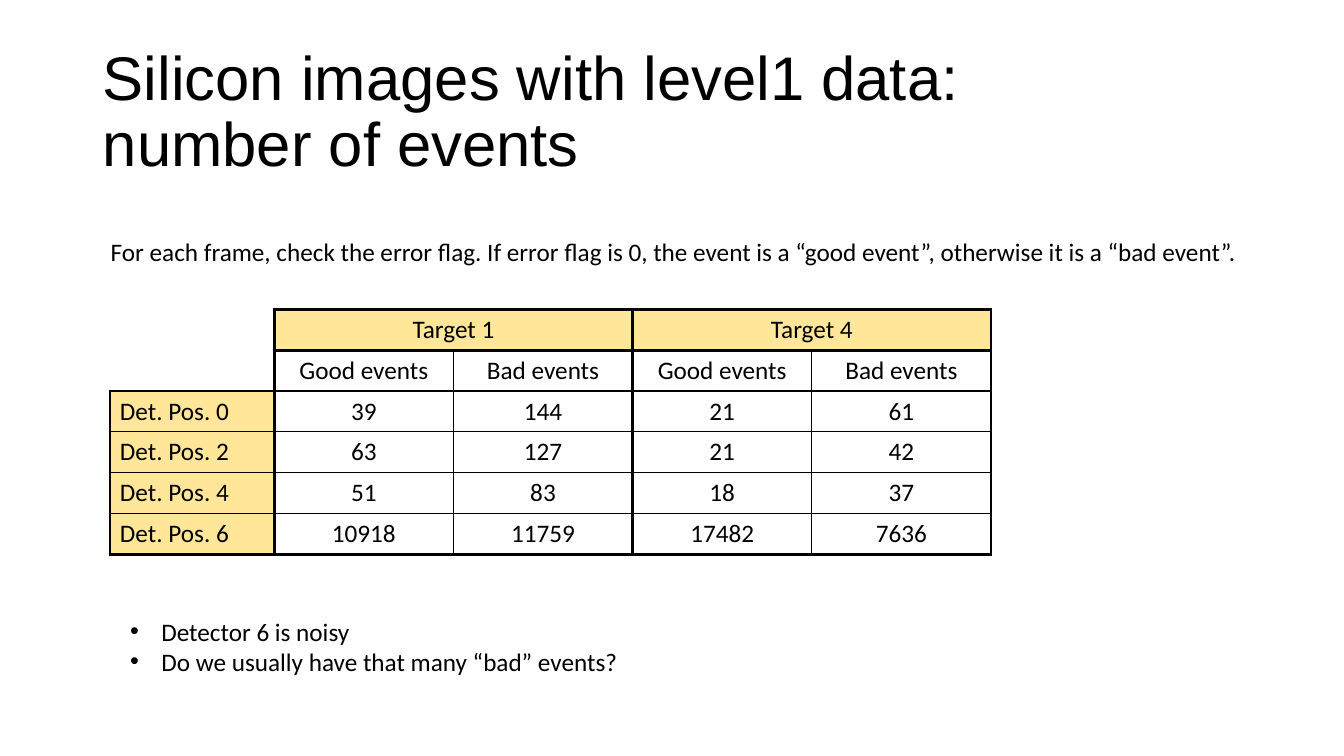
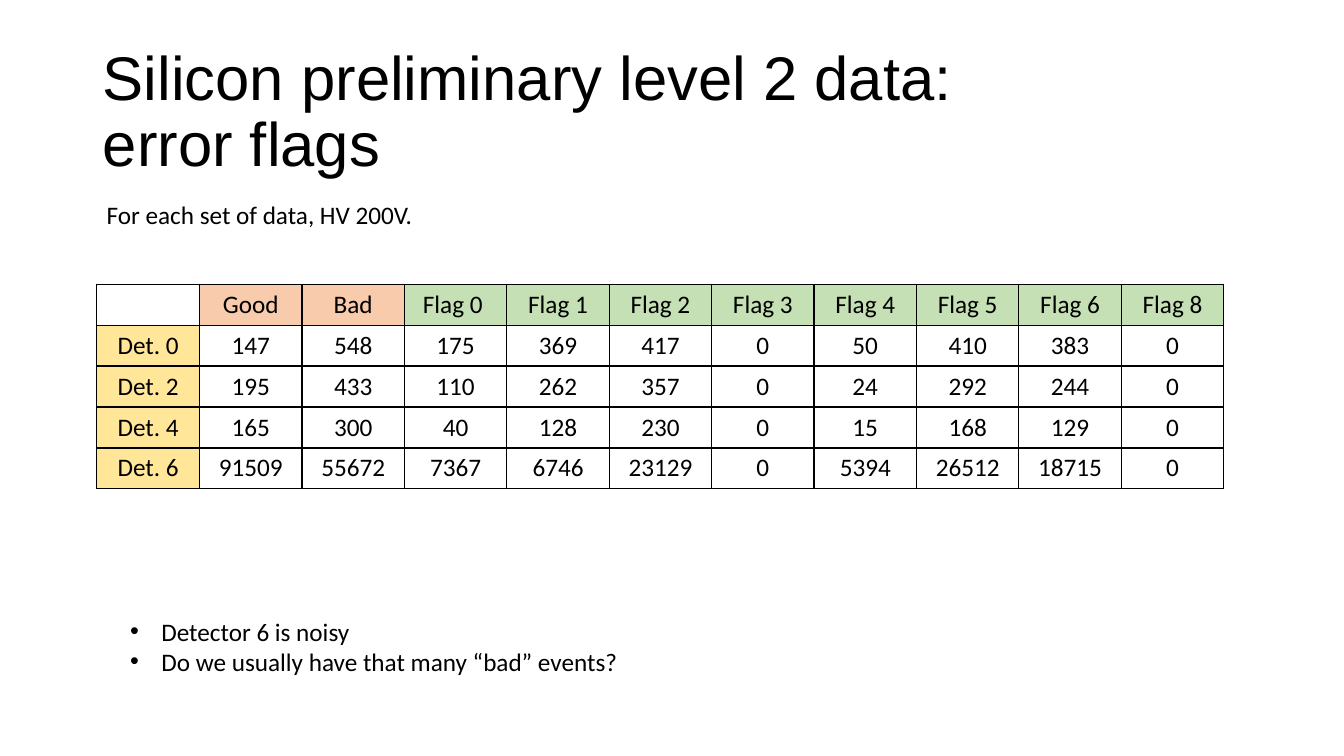
from collections.abc import Callable
from dataclasses import dataclass

import lxml.etree
import pptx
import pptx.dml.color
import pptx.enum.text
import pptx.oxml.ns
import pptx.util

Inches = pptx.util.Inches
Align = pptx.enum.text.PP_ALIGN

BLACK, GOLD, PEACH, GREEN = "000000", "FFE699", "F8CBAD", "C5E0B4"
HEAD_FONT, BODY_FONT = "Arial", "Calibri"
THIN, THICK = 1, 2.25
POINTS = ("Detector 6 is noisy", "Do we usually have that many “bad” events?")


@dataclass(frozen=True)
class Box:
    left: float
    top: float
    width: float
    height: float

    def emus(self) -> tuple:
        return tuple(map(Inches, (self.left, self.top, self.width, self.height)))


@dataclass(frozen=True)
class Grid:
    box: Box
    first: float  # width of the label column
    rows: tuple
    shade: Callable[[int, int], str]
    edge: Callable[[int, int, str], float]
    align: int  # alignment of the label column
    spans: tuple = ()


@dataclass(frozen=True)
class Page:
    title: tuple
    note: str
    spot: Box
    grid: Grid


TITLE_BOX = Box(0.92, 0.4, 11.5, 1.45)
LIST_BOX = Box(1.19, 6.06, 5.1, 0.71)


# Rules for fills and cell edges; an empty colour or zero width means none
def event_shade(row: int, col: int) -> str:
    label = row > 1 and col == 0
    target = row == 0 and col > 0
    return GOLD if label or target else ""


def event_edge(row: int, col: int, side: str) -> float:
    if row < 2 and col == 0:
        return THICK if side in "RB" else 0
    heavy = {
        "L": col == 0 or col % 2 == 1,
        "R": col % 2 == 0,
        "T": row < 2 or (row == 2 and col == 0),
        "B": row == 5,
    }
    return THICK if row == 0 or heavy[side] else THIN


def flag_shade(row: int, col: int) -> str:
    if row == 0:
        return "" if col == 0 else PEACH if col < 3 else GREEN
    return GOLD if col == 0 else ""


def flag_edge(row: int, col: int, side: str) -> float:
    return THIN


PAGES = (
    Page(
        ("Silicon images with level1 data:", "number of events"),
        "For each frame, check the error flag. If error flag is 0, the event is "
        "a “good event”, otherwise it is a “bad event”.",
        Box(1, 2.3, 11.5, 0.4),
        Grid(
            Box(1.09, 3.07, 8.74, 2.43), 1.63,
            (
                ("", "Target 1", "", "Target 4", ""),
                ("", "Good events", "Bad events", "Good events", "Bad events"),
                ("Det. Pos. 0", 39, 144, 21, 61),
                ("Det. Pos. 2", 63, 127, 21, 42),
                ("Det. Pos. 4", 51, 83, 18, 37),
                ("Det. Pos. 6", 10918, 11759, 17482, 7636),
            ),
            event_shade, event_edge, Align.LEFT,
            (((0, 0), (1, 0)), ((0, 1), (0, 2)), ((0, 3), (0, 4))),
        ),
    ),
    Page(
        ("Silicon preliminary level 2 data:", "error flags"),
        "For each set of data, HV 200V.",
        Box(0.96, 1.93, 11.5, 0.4),
        Grid(
            Box(0.96, 2.82, 11.18, 2.03), 1.02,
            (
                ("", "Good", "Bad", "Flag 0 ", "Flag 1", "Flag 2", "Flag 3",
                 "Flag 4", "Flag 5", "Flag 6", "Flag 8"),
                ("Det. 0", 147, 548, 175, 369, 417, 0, 50, 410, 383, 0),
                ("Det. 2", 195, 433, 110, 262, 357, 0, 24, 292, 244, 0),
                ("Det. 4", 165, 300, 40, 128, 230, 0, 15, 168, 129, 0),
                ("Det. 6", 91509, 55672, 7367, 6746, 23129, 0, 5394, 26512, 18715, 0),
            ),
            flag_shade, flag_edge, Align.CENTER,
        ),
    ),
)


def paint(code: str) -> pptx.dml.color.RGBColor:
    return pptx.dml.color.RGBColor.from_string(code)


def style(para, size: float = 18, font: str = BODY_FONT, align: int = Align.LEFT) -> None:
    para.font.size = pptx.util.Pt(size)
    para.font.name = font
    para.font.color.rgb = paint(BLACK)
    para.alignment = align


def place(shape, box: Box) -> None:
    shape.left, shape.top, shape.width, shape.height = box.emus()


def add_title(slide, lines: tuple) -> None:
    title = slide.shapes.title
    place(title, TITLE_BOX)
    frame = title.text_frame
    frame.auto_size = pptx.enum.text.MSO_AUTO_SIZE.NONE
    frame.vertical_anchor = pptx.enum.text.MSO_ANCHOR.MIDDLE
    para = frame.paragraphs[0]
    for i, line in enumerate(lines):
        if i:
            para.add_line_break()
        para.add_run().text = line
    style(para, 44, HEAD_FONT)
    para.line_spacing = 0.9


def add_note(slide, text: str, box: Box) -> None:
    frame = slide.shapes.add_textbox(*box.emus()).text_frame
    frame.word_wrap = True
    frame.text = text
    style(frame.paragraphs[0])


def add_list(slide, items: tuple) -> None:
    body = slide.placeholders[1]
    place(body, LIST_BOX)
    frame = body.text_frame
    frame.auto_size = pptx.enum.text.MSO_AUTO_SIZE.NONE
    frame.text = "\n".join(items)
    for para in frame.paragraphs:
        style(para)
        para.space_before = pptx.util.Pt(0)
        # Hanging bullet
        props = para._p.get_or_add_pPr()
        props.set("marL", str(Inches(0.31)))
        props.set("indent", str(-Inches(0.31)))
        for tag, key, value in (("buFont", "typeface", HEAD_FONT), ("buChar", "char", "•")):
            lxml.etree.SubElement(props, pptx.oxml.ns.qn(f"a:{tag}")).set(key, value)


def add_edge(cell, side: str, width: float) -> None:
    qn = pptx.oxml.ns.qn
    line = lxml.etree.SubElement(cell._tc.get_or_add_tcPr(), qn(f"a:ln{side}"))
    if not width:
        lxml.etree.SubElement(line, qn("a:noFill"))
        return
    line.set("w", str(pptx.util.Pt(width)))
    fill = lxml.etree.SubElement(line, qn("a:solidFill"))
    lxml.etree.SubElement(fill, qn("a:srgbClr")).set("val", BLACK)


def add_grid(slide, grid: Grid) -> None:
    count, cols = len(grid.rows), len(grid.rows[0])
    table = slide.shapes.add_table(count, cols, *grid.box.emus()).table
    table.first_row = table.horz_banding = False
    rest = (grid.box.width - grid.first) / (cols - 1)
    for i, col in enumerate(table.columns):
        col.width = Inches(rest if i else grid.first)
    for row in table.rows:
        row.height = Inches(grid.box.height / count)
    for r, values in enumerate(grid.rows):
        for c, value in enumerate(values):
            cell = table.cell(r, c)
            cell.text = str(value)
            style(cell.text_frame.paragraphs[0], align=Align.CENTER if c else grid.align)
            # Edges must come before the fill
            for side in "LRTB":
                add_edge(cell, side, grid.edge(r, c, side))
            code = grid.shade(r, c)
            if code:
                cell.fill.solid()
                cell.fill.fore_color.rgb = paint(code)
            else:
                cell.fill.background()
    for start, end in grid.spans:
        table.cell(*start).merge(table.cell(*end))


def main() -> None:
    deck = pptx.Presentation()
    deck.slide_width, deck.slide_height = Inches(13.33), Inches(7.5)
    for page in PAGES:
        slide = deck.slides.add_slide(deck.slide_layouts[1])
        add_title(slide, page.title)
        add_note(slide, page.note, page.spot)
        add_grid(slide, page.grid)
        add_list(slide, POINTS)
    deck.save("out.pptx")


if __name__ == "__main__":
    main()
